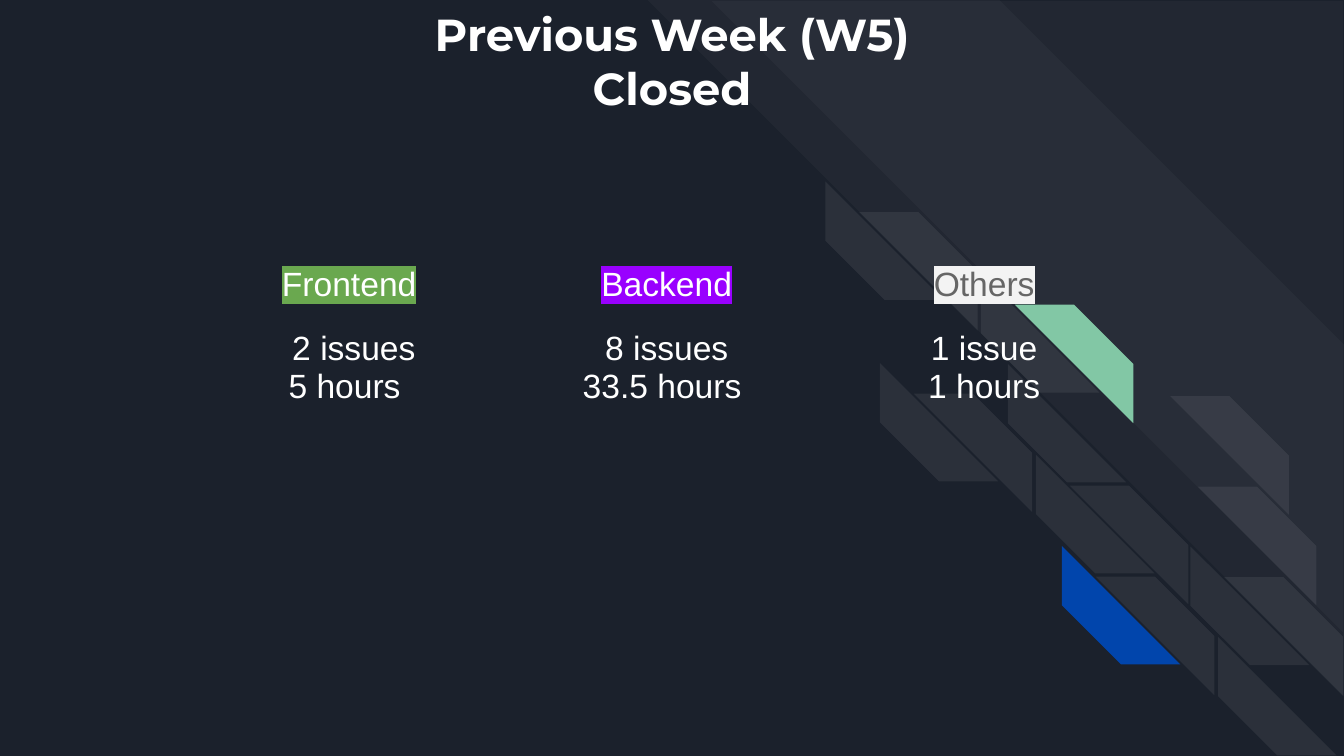
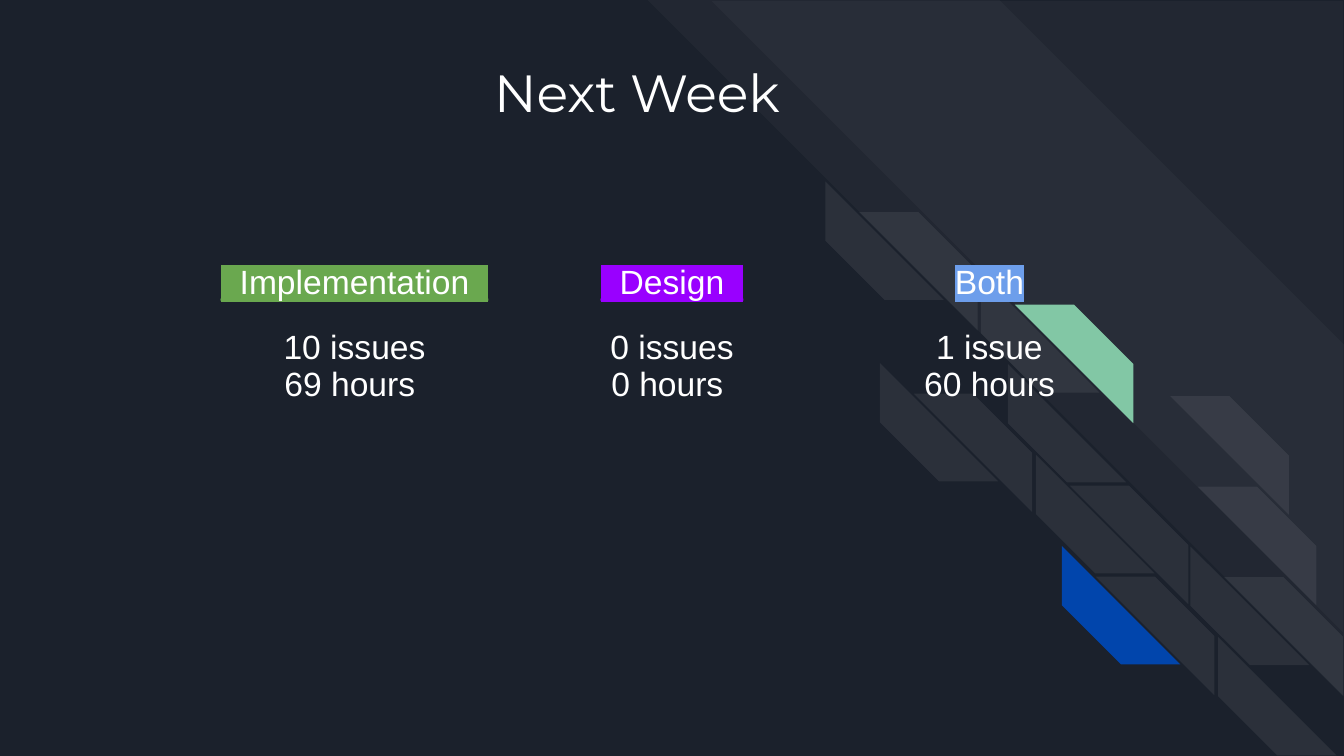
import lxml.etree
import pptx
import pptx.dml.color
import pptx.enum.shapes
import pptx.enum.text
import pptx.oxml.ns
import pptx.util

Cm = pptx.util.Cm
qn = pptx.oxml.ns.qn
ALIGN = pptx.enum.text.PP_ALIGN

NAVY, WHITE, GRAY, PALE = "1B212C", "FFFFFF", "666666", "F3F3F3"
GREEN, VIOLET, SKY = "6AA84F", "9900FF", "6D9EEB"
MINT, BLUE = "82C7A5", "0145AC"
WIDE, HIGH = 25.4, 14.29
INSET = Cm(0.25)
NO_GRID = "{2D5ABB26-0587-4C30-8999-92F81FD0307C}"

# Bricks come in pairs: left, top, colour of the lower half, colour of the upper half
BRICKS = [
    (15.6, 3.43, WHITE, WHITE),
    (16.63, 6.86, WHITE, WHITE),
    (18.54, 5.18, WHITE, MINT),
    (19.05, 6.88, WHITE, None),
    (21.48, 6.91, None, WHITE),
    (22, 8.62, None, WHITE),
    (19.58, 8.6, WHITE, WHITE),
    (20.07, 10.32, BLUE, WHITE),
    (22.5, 10.33, WHITE, WHITE),
    (23.02, 12.04, WHITE, None),
]


def rgb(hue):
    return pptx.dml.color.RGBColor.from_string(hue)


def add_run(par, text, size, hue, font, bold=False, mark=None):
    """Add one run; mark is the highlight colour behind it."""
    run = par.add_run()
    run.text = text
    run.font.size = pptx.util.Pt(size)
    run.font.bold = bold
    run.font.name = font
    run.font.color.rgb = rgb(hue)
    if mark:
        light = lxml.etree.Element(qn("a:highlight"))
        lxml.etree.SubElement(light, qn("a:srgbClr"), val=mark)
        run.font._element.find(qn("a:solidFill")).addnext(light)


def add_lines(frame, lines, align, style):
    """Fill a frame; each line is a list of (text, options) runs."""
    for i, runs in enumerate(lines):
        par = frame.paragraphs[0] if i == 0 else frame.add_paragraph()
        par.alignment = align
        for text, extra in runs:
            add_run(par, text, **{**style, **extra})


def add_stripe(slide, layout, left, top, size, hue, cut, turn=0, alpha=None):
    """Draw a diagonal stripe and hand it to the shared layout."""
    kind = pptx.enum.shapes.MSO_SHAPE.DIAGONAL_STRIPE
    stripe = slide.shapes.add_shape(kind, Cm(left), Cm(top), Cm(size), Cm(size))
    stripe.adjustments[0] = cut
    stripe.rotation = turn
    stripe.shadow.inherit = False
    stripe.fill.solid()
    stripe.fill.fore_color.rgb = rgb(hue)
    stripe.line.fill.background()
    node = stripe.element
    if alpha:
        tint = node.spPr.find(qn("a:solidFill"))[0]
        lxml.etree.SubElement(tint, qn("a:alpha"), val=str(alpha * 1000))
    if not turn:
        node.spPr.find(qn("a:xfrm")).set("flipH", "1")
    tree = layout.shapes.element
    node.nvSpPr.cNvPr.set("id", str(100 + len(tree)))
    tree.append(node)


def draw_back(slide, layout):
    fill = layout.background.fill
    fill.solid()
    fill.fore_color.rgb = rgb(NAVY)
    add_stripe(slide, layout, 12.24, 0, 13.16, WHITE, 0.495, 90, 3)
    add_stripe(slide, layout, 13.45, 0.02, 11.93, WHITE, 0, 90, 3)
    for left, top, low, high in BRICKS:
        halves = ((low, 0, 0, 270), (high, 0.64, 0.58, 0))
        for hue, right, down, turn in halves:
            if hue:
                alpha = 7 if hue == WHITE else None
                add_stripe(slide, layout, left + right, top + down, 2.24,
                           hue, 0.5, turn, alpha)


def set_title(slide, left, width, lines, size, bold=False,
              align=ALIGN.CENTER, indent=0, base=0.25):
    """Place the title; base is the inset below the text."""
    title = slide.shapes.title
    title.left, title.top = Cm(left), Cm(0)
    title.width, title.height = Cm(width), Cm(3.45)
    frame = title.text_frame
    frame.word_wrap = True
    frame.auto_size = pptx.enum.text.MSO_AUTO_SIZE.NONE
    frame.vertical_anchor = pptx.enum.text.MSO_ANCHOR.MIDDLE
    frame.margin_left = frame.margin_right = frame.margin_top = INSET
    frame.margin_bottom = Cm(base)
    style = dict(size=size, hue=WHITE, font="Montserrat", bold=bold)
    add_lines(frame, [[(line, {})] for line in lines], align, style)
    for par in frame.paragraphs:
        par._p.get_or_add_pPr().set("marL", str(Cm(indent)))


def add_grid(slide, left, top, heads, counts):
    """Add a table of highlighted heads above issue and hour counts."""
    frame = slide.shapes.add_table(2, len(heads), Cm(left), Cm(top),
                                   Cm(6 * len(heads)), Cm(2.16))
    grid = frame.table
    grid.first_row = grid.horz_banding = False
    grid._tbl.tblPr.find(qn("a:tableStyleId")).text = NO_GRID
    for row in grid.rows:
        row.height = Cm(1.08)
    style = dict(size=18, hue=WHITE, font="Arial")
    for col, (head, lines) in enumerate(zip(heads, counts)):
        body = [[(line, {})] for line in lines]
        for row, text in enumerate(([head], body)):
            cell = grid.cell(row, col)
            cell.fill.background()
            cell.margin_left = cell.margin_right = INSET
            cell.margin_top = cell.margin_bottom = INSET
            add_lines(cell.text_frame, text, ALIGN.CENTER, style)


def tag(text, mark, hue=WHITE):
    return [(text, dict(hue=hue, mark=mark))]


def pad(text, mark):
    """A tag widened on both sides by an underscore in its own colour."""
    edge = tag("_", mark, mark)
    return edge + tag(text, mark) + edge


def main():
    deck = pptx.Presentation()
    deck.slide_width, deck.slide_height = Cm(WIDE), Cm(HIGH)
    layout = deck.slide_layouts[5]

    past = deck.slides.add_slide(layout)
    draw_back(past, layout)
    add_grid(past, 3.6, 4.78,
             [tag("Frontend", GREEN), tag("Backend", VIOLET),
              tag("Others", PALE, GRAY)],
             [(" 2 issues", "5 hours "), ("8 issues", "33.5 hours "),
              ("1 issue", "1 hours")])
    set_title(past, 0, WIDE, ["Previous Week (W5)", "Closed"], 24,
              bold=True, base=1.4)

    plan = deck.slides.add_slide(layout)
    set_title(plan, 7.82, 9.75, ["Next Week"], 28,
              align=ALIGN.LEFT, indent=1.27)
    add_grid(plan, 3.7, 4.75,
             [pad("Implementation", GREEN), pad("Design", VIOLET),
              tag("Both", SKY)],
             [("10 issues", "69 hours "), ("0 issues", "0 hours "),
              ("1 issue", "60 hours")])

    deck.save("out.pptx")


if __name__ == "__main__":
    main()
